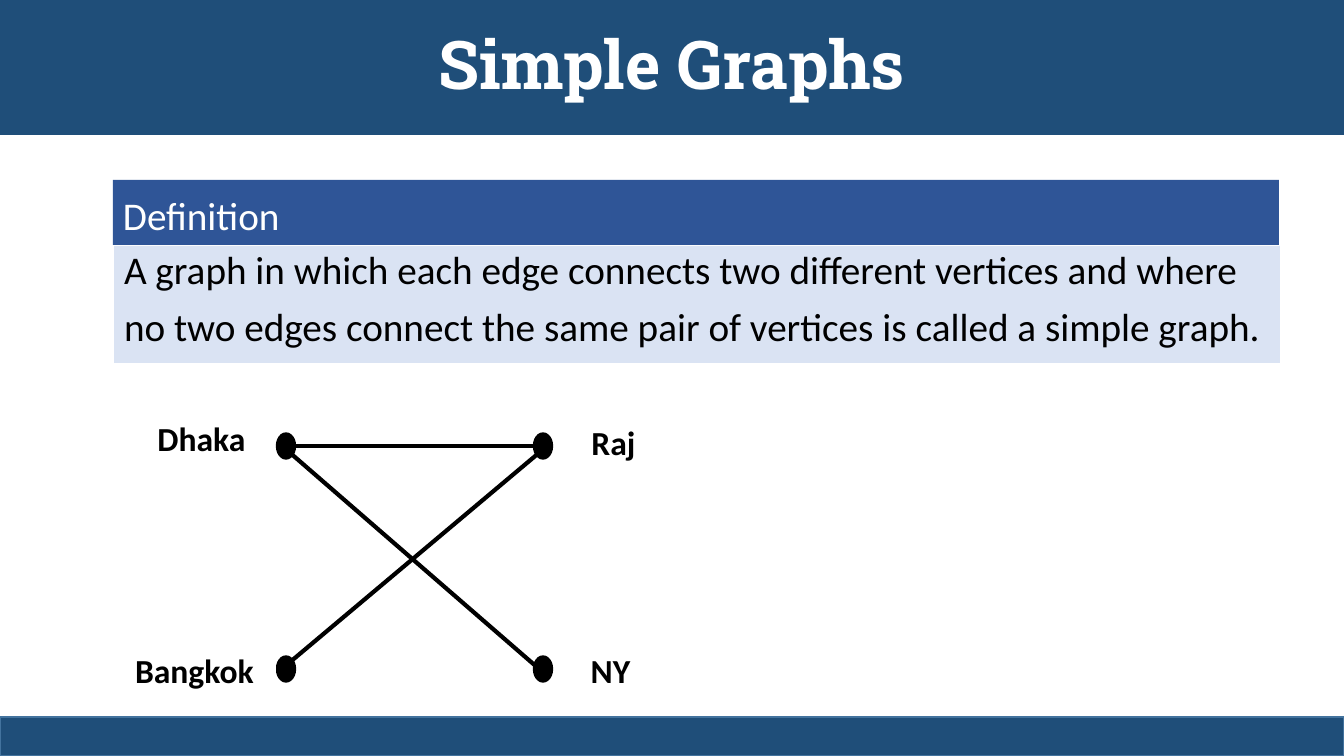
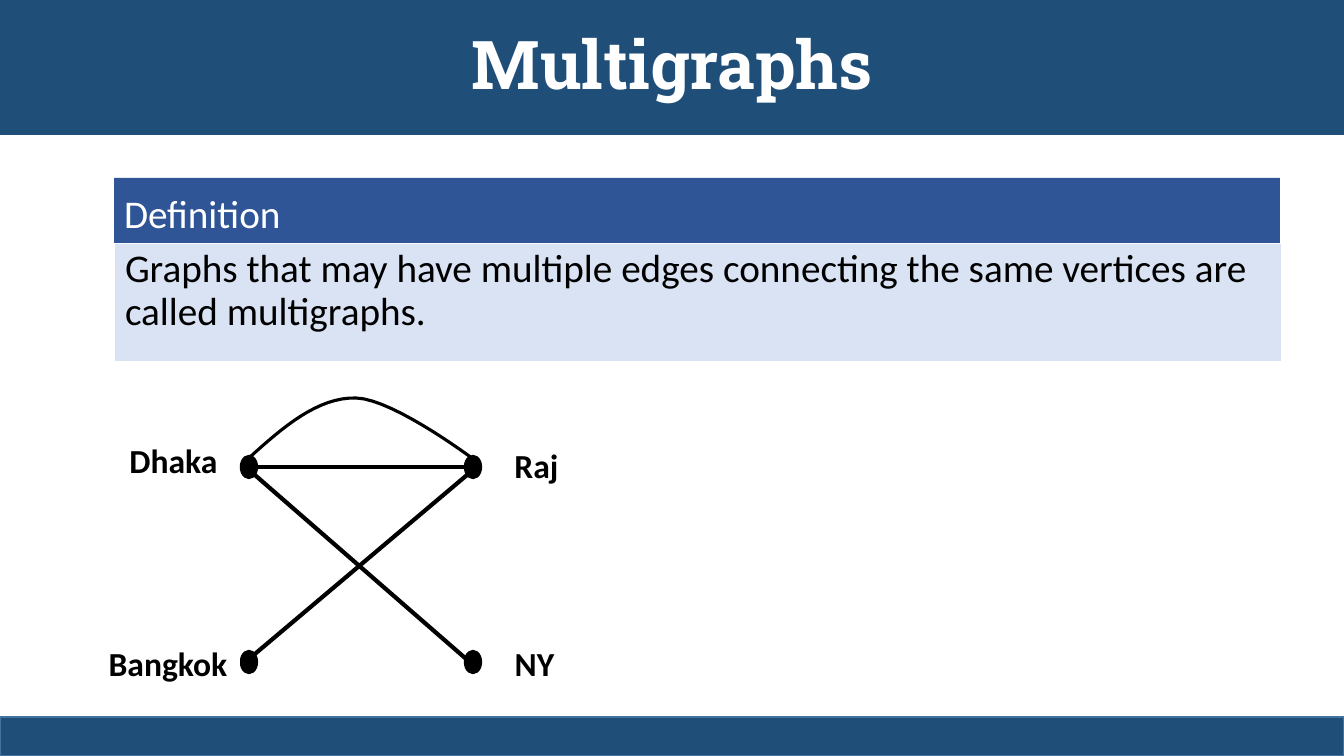
from lxml import etree
from pptx import Presentation
from pptx.dml.color import RGBColor
from pptx.enum.shapes import MSO_CONNECTOR, MSO_SHAPE as Shape
from pptx.enum.text import MSO_ANCHOR as Anchor, PP_ALIGN as Align
from pptx.oxml.ns import qn
from pptx.util import Pt

WIDTH, HEIGHT = 1344, 756
PX = 12192000 / WIDTH
BAND, BAND_EDGE = "1F4E79", "43739E"
HEADING, PANEL = "2F5597", "DAE3F3"
BLACK, WHITE = "000000", "FFFFFF"
CURVE_STEPS = 16

# Each edge: node and direction (in radii from its centre) at both ends
DIAGONAL = 0.7
EDGES = [
    ("Dhaka", 1, 0, "Raj", -1, 0),
    ("Bangkok", DIAGONAL, -DIAGONAL, "Raj", -DIAGONAL, DIAGONAL),
    ("Dhaka", DIAGONAL, DIAGONAL, "NY", DIAGONAL, DIAGONAL),
]

SLIDES = [
    {
        "title": "Simple Graphs",
        "definition": [
            "A graph in which each edge connects two different vertices and where",
            "no two edges connect the same pair of vertices is called a simple graph.",
        ],
        "corner": (113, 180),
        "columns": (286, 543), "rows": (446, 669), "node": (19, 26),
        "label_height": 49,
        "labels": {"Dhaka": (136, 414, 131), "Raj": (563, 418, 101),
                   "Bangkok": (113, 646, 163), "NY": (558, 646, 105)},
        "curves": [],
    },
    {
        "title": "Multigraphs",
        "definition": [
            "Graphs that may have multiple edges connecting the same vertices "
            "are called multigraphs.",
        ],
        "corner": (114, 178),
        "columns": (249, 473), "rows": (467, 662), "node": (17, 23),
        "label_height": 42,
        "labels": {"Dhaka": (116, 439, 115), "Raj": (492, 444, 89),
                   "Bangkok": (96, 642, 144), "NY": (488, 642, 93)},
        "curves": [
            [(249, 458), (283, 427), (318, 397), (356, 398)],
            [(356, 398), (395, 399), (480, 464), (480, 464)],
        ],
    },
]


def color(value):
    return RGBColor.from_string(value)


def add_box(page, kind, left, top, width, height, fill, line=None, texts=(),
            font="Calibri", size=28, ink=BLACK, bold=False, align=Align.LEFT,
            anchor=Anchor.TOP, spacing=None, inset=(10, 5)):
    """Add a filled shape, lengths in px, with one paragraph per text."""
    box = page.shapes.add_shape(
        kind, *(round(n * PX) for n in (left, top, width, height)))
    box.shadow.inherit = False
    box.fill.solid()
    box.fill.fore_color.rgb = color(fill)
    if line:
        box.line.color.rgb = color(line)
        box.line.width = Pt(1)
    else:
        box.line.fill.background()
    frame = box.text_frame
    frame.word_wrap = True
    frame.vertical_anchor = anchor
    frame.margin_left = frame.margin_right = round(inset[0] * PX)
    frame.margin_top = frame.margin_bottom = round(inset[1] * PX)
    for index, text in enumerate(texts):
        para = frame.add_paragraph() if index else frame.paragraphs[0]
        para.alignment = align
        para.line_spacing = spacing
        if index:
            para.space_before = Pt(10)
        span = para.add_run()
        span.text = text
        span.font.name, span.font.size, span.font.bold = font, Pt(size), bold
        span.font.color.rgb = color(ink)


deck = Presentation()
deck.slide_width, deck.slide_height = round(WIDTH * PX), round(HEIGHT * PX)

for content in SLIDES:
    page = deck.slides.add_slide(deck.slide_layouts[6])
    add_box(page, Shape.RECTANGLE, 0, 0, WIDTH, 135, BAND, texts=[content["title"]],
            font="Roboto Slab", size=48, ink=WHITE, bold=True,
            align=Align.CENTER, anchor=Anchor.MIDDLE, spacing=0.9)
    add_box(page, Shape.RECTANGLE, 0, 717, WIDTH, 39, BAND, line=BAND_EDGE)

    # Definition
    left, top = content["corner"]
    add_box(page, Shape.RECTANGLE, left, top, 1166, 65, HEADING,
            texts=["Definition"], ink=WHITE, spacing=1.14)
    add_box(page, Shape.RECTANGLE, left + 1, top + 66, 1166, 117, PANEL,
            texts=content["definition"], spacing=0.9)

    # Graph
    centres = dict(zip(("Dhaka", "Raj", "Bangkok", "NY"),
                       [(x, y) for y in content["rows"] for x in content["columns"]]))
    node_width, node_height = content["node"]
    for x, y in centres.values():
        add_box(page, Shape.FLOWCHART_CONNECTOR, x - node_width / 2, y - node_height / 2,
                node_width, node_height, BLACK, line=BLACK)

    for edge in EDGES:
        ends = []
        for name, across, down in (edge[:3], edge[3:]):
            x, y = centres[name]
            ends += [round((x + across * node_width / 2) * PX),
                     round((y + down * node_height / 2) * PX)]
        connector = page.shapes.add_connector(MSO_CONNECTOR.STRAIGHT, *ends)
        connector.line.color.rgb = color(BLACK)
        connector.line.width = Pt(3)
        etree.SubElement(connector.element.spPr, qn("a:effectLst"))

    for name, (left, top, width) in content["labels"].items():
        add_box(page, Shape.ROUNDED_RECTANGLE, left, top, width, content["label_height"],
                WHITE, texts=[name], size=24, bold=True, align=Align.CENTER,
                anchor=Anchor.MIDDLE, inset=(0, 0))

    # Curved edge, sampled from its Bézier segments
    points = []
    for segment in content["curves"]:
        for step in range(CURVE_STEPS + 1):
            t = step / CURVE_STEPS
            weights = ((1 - t) ** 3, 3 * t * (1 - t) ** 2, 3 * t * t * (1 - t), t ** 3)
            points.append(tuple(
                round(PX * sum(w * p[axis] for w, p in zip(weights, segment)))
                for axis in (0, 1)))
    if points:
        builder = page.shapes.build_freeform(*points[0])
        builder.add_line_segments(points[1:], close=False)
        arc = builder.convert_to_shape()
        arc.shadow.inherit = False
        arc.fill.background()
        arc.line.color.rgb = color(BLACK)
        arc.line.width = Pt(2.25)

deck.save("out.pptx")
